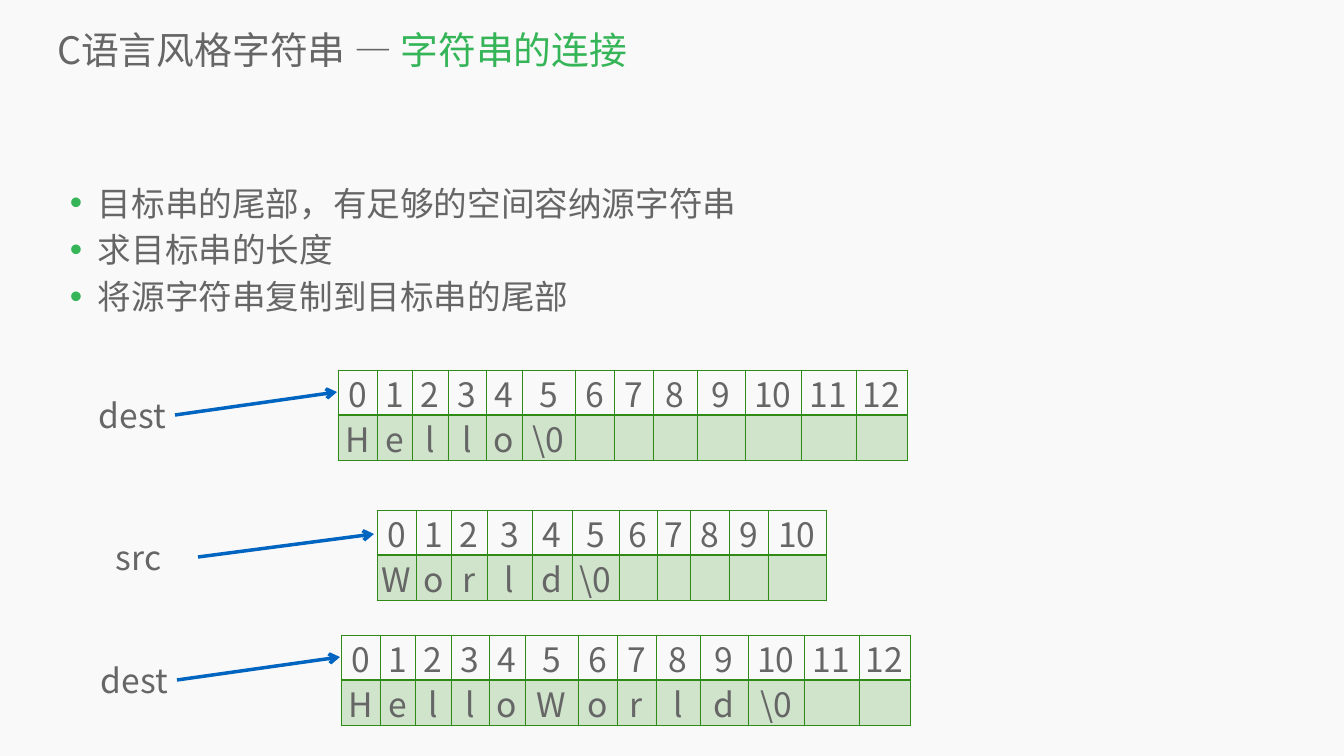
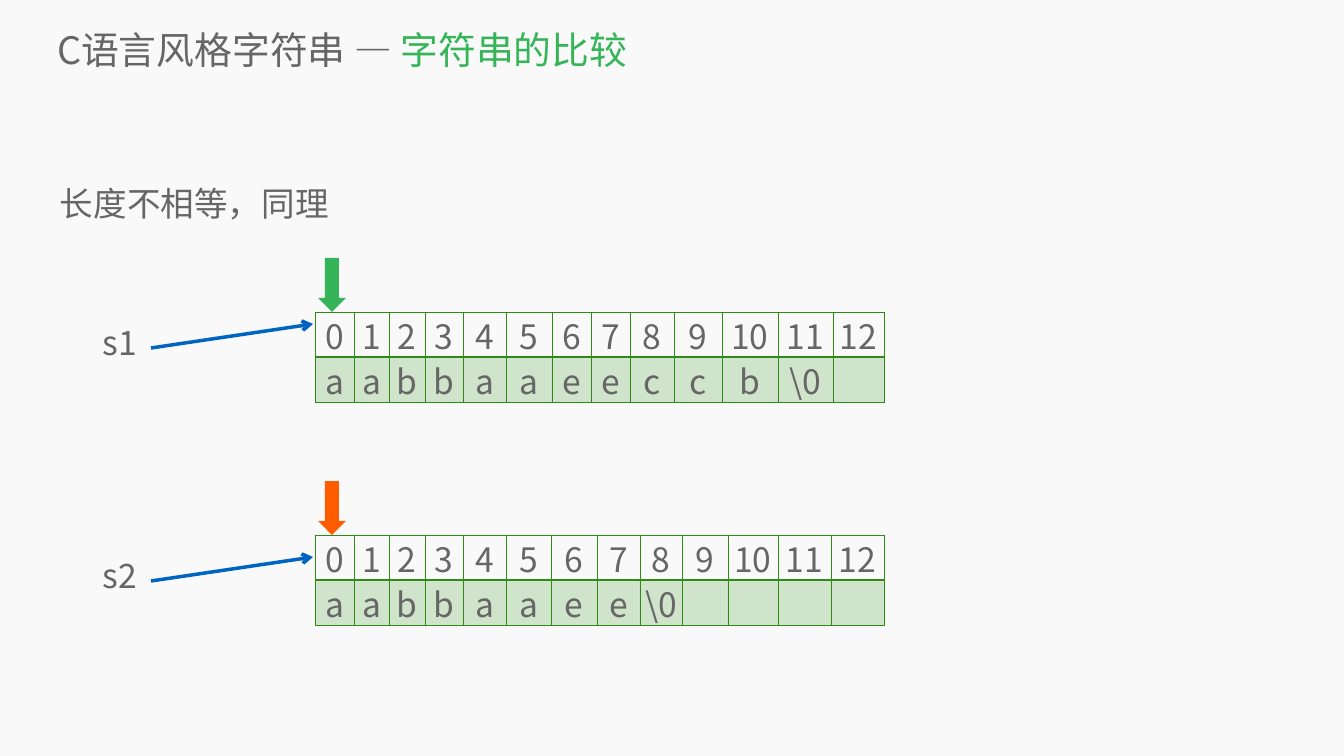
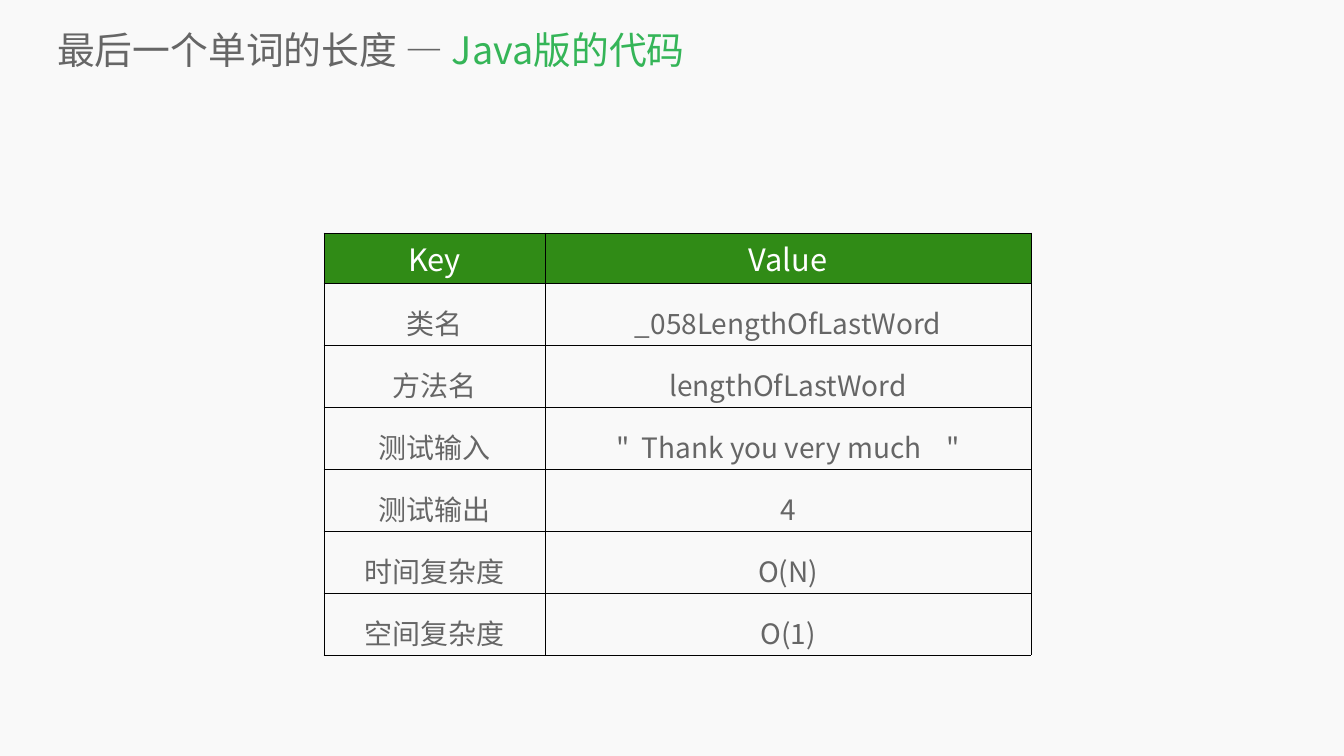
"""Build three slides on C strings: joining, comparing, and a Java test table."""
from dataclasses import dataclass
from pptx import Presentation
from pptx.dml.color import RGBColor
from pptx.enum.shapes import MSO_CONNECTOR, MSO_SHAPE
from pptx.enum.text import MSO_ANCHOR, PP_ALIGN
from pptx.oxml import parse_xml
from pptx.oxml.ns import nsdecls, qn
from pptx.util import Emu, Pt
from lxml.etree import SubElement


@dataclass(frozen=True)
class Theme:
    font: str = "Noto Sans CJK SC"
    back: str = "F9F9F9"
    text: str = "666666"
    mark: str = "35B558"
    grid: str = "308B16"
    line: str = "0065C1"
    warm: str = "FF5C00"
    dark: str = "000000"
    white: str = "FFFFFF"
    title: int = 54
    body: int = 48
    head: int = 44
    cell: int = 40


T = Theme()
SCALE = 914400 / 50.4
PAGE = (1344, 756)
TITLE = (57, 24, 1268, 51)
BODY = (60, 176, 1224, 566)
ROW = 45
LONG = (39, 35, 36, 38, 36, 53, 39, 39, 44, 48, 56, 55, 51)

JOIN = {
    "title": ("C语言风格字符串 — ", "字符串的连接"),
    "body": ("目标串的尾部，有足够的空间容纳源字符串", "求目标串的长度", "将源字符串复制到目标串的尾部"),
    "bullet": True,
    "strings": (
        {"name": "src", "label": (111, 539, 57, 47), "arrow": (198, 557, 374, 534), "at": (377, 510),
         "cols": (39, 35, 36, 45, 40, 47, 38, 33, 39, 39, 58), "word": "World"},
        {"name": "dest", "label": (94, 397, 79, 47), "arrow": (175, 415, 337, 392), "at": (338, 370),
         "cols": LONG, "word": "Hello"},
        {"name": "dest", "label": (96, 662, 79, 47), "arrow": (177, 680, 340, 657), "at": (341, 635),
         "cols": LONG, "word": "HelloWorld"},
    ),
}
COMPARE = {
    "title": ("C语言风格字符串 — ", "字符串的比较"),
    "body": ("长度不相等，同理",),
    "bullet": False,
    "strings": (
        {"name": "s1", "label": (98, 324, 46, 47), "arrow": (151, 348, 313, 324), "at": (315, 312),
         "cols": (39, 35, 36, 38, 43, 46, 39, 39, 44, 48, 56, 55, 51), "word": "aabbaaeeccb", "pin": T.mark},
        {"name": "s2", "label": (98, 557, 46, 46), "arrow": (151, 581, 313, 557), "at": (315, 535),
         "cols": (39, 35, 36, 38, 43, 45, 46, 43, 42, 46, 50, 53, 53), "word": "aabbaaee", "pin": T.warm},
    ),
}
CODE_TITLE = ("最后一个单词的长度 — ", "Java版的代码")
CODE = (
    ("Key", "Value"),
    ("类名", "_058LengthOfLastWord"),
    ("方法名", "lengthOfLastWord"),
    ("测试输入", '"  Thank you very much    "'),
    ("测试输出", "4"),
    ("时间复杂度", "O(N)"),
    ("空间复杂度", "O(1)"),
)


def px(*nums):
    return [Emu(round(n * SCALE)) for n in nums]


def rgb(code):
    return RGBColor.from_string(code)


def add_run(para, text, size, color=T.text):
    run = para.add_run()
    run.text = text
    font = run.font
    font.name, font.size = T.font, Pt(size)
    font.color.rgb = rgb(color)
    SubElement(run._r.get_or_add_rPr(), qn("a:ea")).set("typeface", T.font)


def add_box(slide, rect, inset=True, wrap=True):
    frame = slide.shapes.add_textbox(*px(*rect)).text_frame
    frame.word_wrap = wrap
    if not inset:
        frame.margin_left = frame.margin_top = frame.margin_right = frame.margin_bottom = 0
    return frame


def add_slide(deck, title):
    slide = deck.slides.add_slide(deck.slide_layouts[6])
    fill = slide.background.fill
    fill.solid()
    fill.fore_color.rgb = rgb(T.back)
    frame = add_box(slide, TITLE, inset=False)
    frame.vertical_anchor = MSO_ANCHOR.MIDDLE
    for text, color in zip(title, (T.text, T.mark)):
        add_run(frame.paragraphs[0], text, T.title, color)
    return slide


def add_bullet(para):
    props = para._p.get_or_add_pPr()
    left, hang = px(38, -28)
    props.set("marL", str(left))
    props.set("indent", str(hang))
    color = SubElement(props, qn("a:buClr"))
    SubElement(color, qn("a:srgbClr")).set("val", T.mark)
    SubElement(props, qn("a:buSzPct")).set("val", "105000")
    SubElement(props, qn("a:buFont")).set("typeface", "Arial")
    SubElement(props, qn("a:buChar")).set("char", "•")


def add_body(slide, lines, bullet):
    frame = add_box(slide, BODY, inset=False)
    for i, line in enumerate(lines):
        para = frame.add_paragraph() if i else frame.paragraphs[0]
        para.line_spacing = 1.16
        if bullet:
            add_bullet(para)
        add_run(para, line, T.body)


def set_edges(cell, color, base=1):
    props = cell._tc.get_or_add_tcPr()
    for i, side in enumerate("LRTB"):
        width = Pt(base if side == "B" else 1)
        props.insert(i, parse_xml(
            f'<a:ln{side} {nsdecls("a")} w="{width}"><a:solidFill>'
            f'<a:srgbClr val="{color}"/></a:solidFill></a:ln{side}>'))


def set_fill(cell, color, alpha=None):
    if color is None:
        cell.fill.background()
        return
    cell.fill.solid()
    cell.fill.fore_color.rgb = rgb(color)
    if alpha:
        tone = cell._tc.tcPr.find(".//" + qn("a:srgbClr"))
        SubElement(tone, qn("a:alpha")).set("val", str(alpha * 1000))


def add_grid(slide, at, cols, rows):
    rect = px(*at, sum(cols), sum(rows))
    table = slide.shapes.add_table(len(rows), len(cols), *rect).table
    table.first_row = table.horz_banding = False
    for col, width in zip(table.columns, px(*cols)):
        col.width = width
    for row, height in zip(table.rows, px(*rows)):
        row.height = height
    return table


def set_text(cell, text, size, color, space):
    para = cell.text_frame.paragraphs[0]
    para.alignment = PP_ALIGN.CENTER
    para.line_spacing = space
    if text:
        add_run(para, text, size, color)
    else:
        para.font.size = Pt(size)


def add_cells(slide, at, cols, word):
    count = len(cols)
    chars = [*word, "\\0"]
    chars += [""] * (count - len(chars))
    table = add_grid(slide, at, cols, (ROW, ROW))
    for r, texts in enumerate(([str(i) for i in range(count)], chars)):
        for c, text in enumerate(texts):
            cell = table.cell(r, c)
            cell.margin_left = cell.margin_right = 0
            cell.margin_top, cell.margin_bottom = px(5, 0)
            set_text(cell, text, T.body, T.text, 0.83)
            set_fill(cell, T.grid if r else None, 20)
            set_edges(cell, T.grid, 1 if r else 2)


def add_arrow(slide, ends):
    link = slide.shapes.add_connector(MSO_CONNECTOR.STRAIGHT, *px(*ends))
    link.line.color.rgb = rgb(T.line)
    link.line.width = Pt(5)
    SubElement(link.line._get_or_add_ln(), qn("a:tailEnd")).set("type", "arrow")
    SubElement(link._element.spPr, qn("a:effectLst"))


def add_pin(slide, at, color):
    left, top = at
    pin = slide.shapes.add_shape(MSO_SHAPE.DOWN_ARROW, *px(left + 3, top - 54, 28, 54))
    pin.shadow.inherit = False
    pin.fill.solid()
    pin.fill.fore_color.rgb = rgb(color)
    pin.line.fill.background()


def add_string(slide, item):
    para = add_box(slide, item["label"], wrap=False).paragraphs[0]
    para.line_spacing = 0.9
    add_run(para, item["name"], T.body)
    add_arrow(slide, item["arrow"])
    add_cells(slide, item["at"], item["cols"], item["word"])
    if "pin" in item:
        add_pin(slide, item["at"], item["pin"])


def add_code(slide):
    table = add_grid(slide, (324, 233), (221, 486), [50] + [62] * (len(CODE) - 1))
    for r, texts in enumerate(CODE):
        look = (T.cell, T.text, 1.4) if r else (T.head, T.white, 1.0)
        for c, text in enumerate(texts):
            cell = table.cell(r, c)
            set_text(cell, text, *look)
            set_fill(cell, None if r else T.grid)
            set_edges(cell, T.dark)


def main():
    deck = Presentation()
    deck.slide_width, deck.slide_height = px(*PAGE)
    for page in (JOIN, COMPARE):
        slide = add_slide(deck, page["title"])
        add_body(slide, page["body"], page["bullet"])
        for item in page["strings"]:
            add_string(slide, item)
    add_code(add_slide(deck, CODE_TITLE))
    deck.save("out.pptx")


main()
